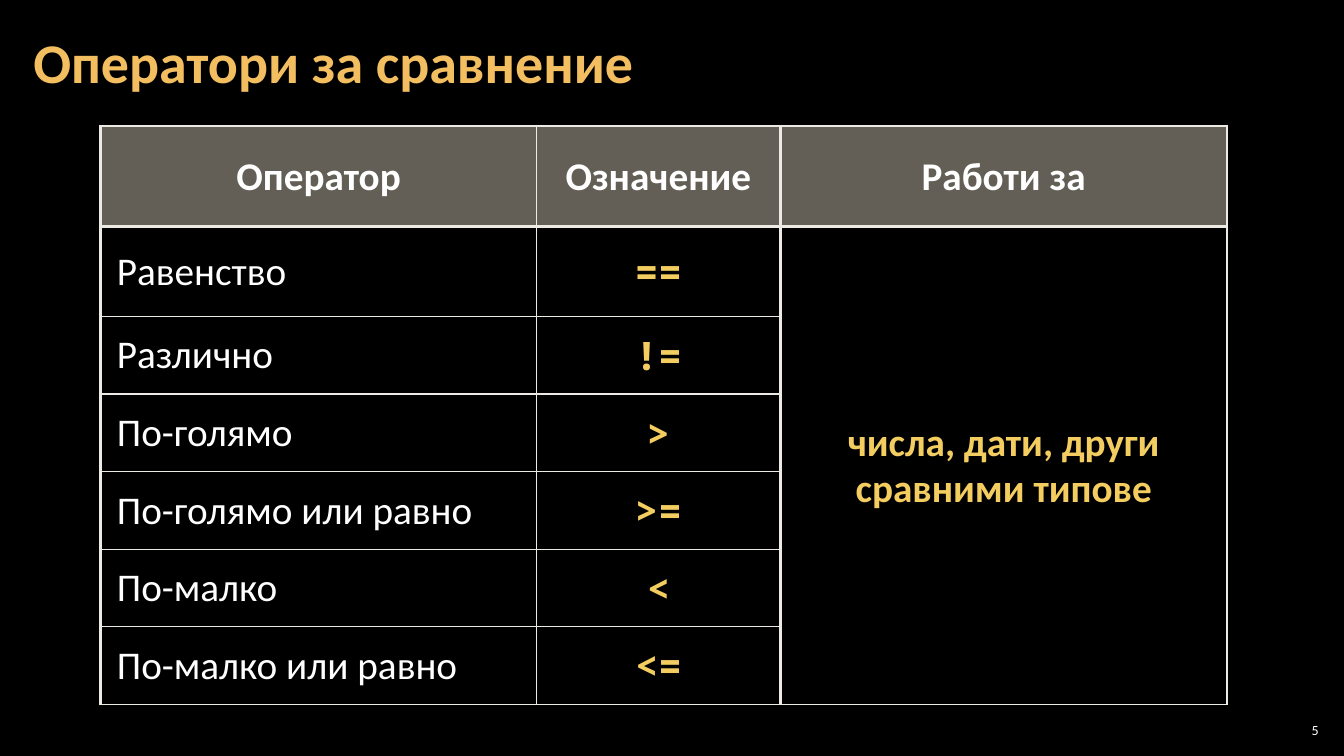
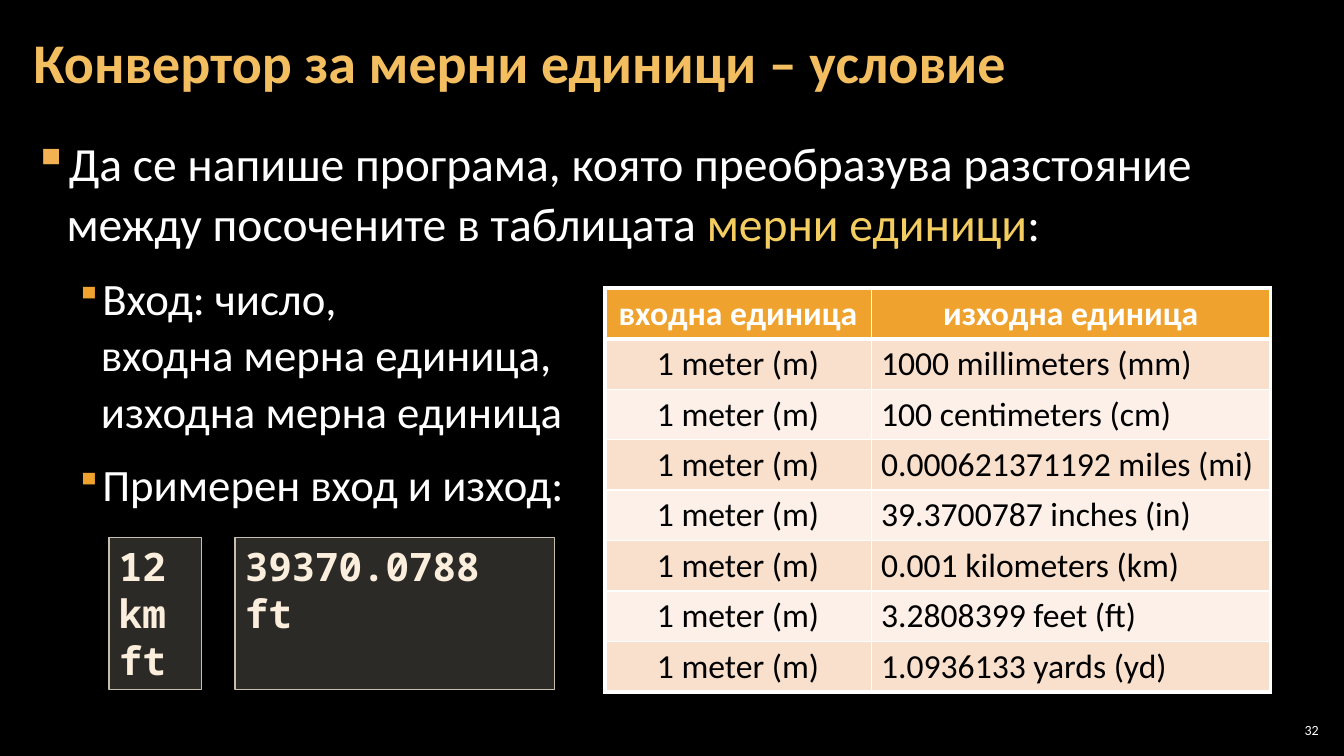
"""Build two programming-course slides: comparison operators and a unit converter."""
from dataclasses import dataclass
from typing import Optional

from lxml.etree import SubElement
from pptx import Presentation
from pptx.dml.color import RGBColor
from pptx.enum.shapes import MSO_SHAPE
from pptx.enum.text import MSO_ANCHOR, MSO_AUTO_SIZE, PP_ALIGN
from pptx.oxml import parse_xml
from pptx.oxml.ns import nsdecls, qn
from pptx.util import Inches, Pt

COLORS = {
    "background": "000000",
    "title": "F3BE60",
    "text": "FFFFFF",
    "dark_text": "000000",
    "highlight": "F3CD60",
    "bullet": "F2B254",
    "sub_bullet": "F0A22E",
    "grid": "ECEAE3",
    "stone": "C7BFAC",
    "orange": "F0A22E",
    "band": "F9E0CD",
    "band_light": "FCF0E8",
    "code": "FBEEDC",
    "code_fill": "D9D5C7",
}
SANS, MONO = "Calibri", "Noto Sans Mono"


@dataclass(frozen=True)
class TextStyle:
    size: float
    color: str = "text"
    bold: bool = False
    font: str = SANS
    align: PP_ALIGN = PP_ALIGN.LEFT


@dataclass(frozen=True)
class Grid:
    left: float
    top: float
    widths: list[float]
    heights: list[float]
    column_lines: list[float]
    row_lines: list[float]
    line_color: str
    header: TextStyle
    columns: list[TextStyle]
    header_fill: str
    bands: tuple[str, ...] = ()
    header_alpha: int = 100
    margins: tuple[float, float] = (0.1, 0.05)
    spacing: float = 1.0
    merged_column: Optional[int] = None


@dataclass(frozen=True)
class Bullet:
    level: int
    runs: list[tuple[str, str]]


@dataclass(frozen=True)
class BulletLevel:
    size: int
    margin: float
    hanging: float
    color: str
    percent: int


@dataclass(frozen=True)
class CodeBox:
    left: float
    width: float
    lines: list[str]


BULLET_LEVELS = [
    BulletLevel(34, 0.33, 0.33, "bullet", 100),
    BulletLevel(32, 0.67, 0.25, "sub_bullet", 80),
]
CODE = TextStyle(28, "code", True, MONO)

OPERATOR_HEADER = TextStyle(28, bold=True, align=PP_ALIGN.CENTER)
OPERATOR_GRID = Grid(
    1, 1.25, [4.32, 2.42, 4.43], [1, 0.89] + [0.77] * 5,
    [2.25, 1, 2.25, 2.25], [2.25, 2.25] + [1] * 6, "grid",
    OPERATOR_HEADER,
    [
        TextStyle(28),
        TextStyle(28, "highlight", True, MONO, PP_ALIGN.CENTER),
        TextStyle(28, "highlight", True, SANS, PP_ALIGN.CENTER),
    ],
    "stone", header_alpha=50, margins=(0.16, 0), spacing=0.95, merged_column=2,
)
OPERATORS = [
    ("Оператор", "Означение", "Работи за"),
    ("Равенство", "==", "числа, дати, други сравними типове"),
    ("Различно", "!="),
    ("По-голямо", ">"),
    ("По-голямо или равно", ">="),
    ("По-малко", "<"),
    ("По-малко или равно", "<="),
]

UNIT_GRID = Grid(
    6, 2.86, [2.64, 3.96], [0.5] * 8,
    [3, 1, 3], [3, 3] + [1] * 6 + [3], "text",
    TextStyle(24, bold=True, align=PP_ALIGN.CENTER),
    [TextStyle(24, "dark_text", align=PP_ALIGN.CENTER), TextStyle(24, "dark_text")],
    "orange", ("band", "band_light"),
)
CONVERSIONS = [
    "1000 millimeters (mm)",
    "100 centimeters (cm)",
    "0.000621371192 miles (mi)",
    "39.3700787 inches (in)",
    "0.001 kilometers (km)",
    "3.2808399 feet (ft)",
    "1.0936133 yards (yd)",
]
UNITS = [("входна единица", "изходна единица")] + [("1 meter (m)", unit) for unit in CONVERSIONS]

TASK = [
    Bullet(0, [
        ("Да се напише програма, която преобразува разстояние между посочените в таблицата ", "text"),
        ("мерни единици", "highlight"),
        (":", "text"),
    ]),
    Bullet(1, [("Вход: число,\nвходна мерна единица,\nизходна мерна единица", "text")]),
    Bullet(1, [("Примерен вход и изход:", "text")]),
]
SAMPLES = [CodeBox(1.08, 0.92, ["12", "km", "ft"]), CodeBox(2.33, 3.17, ["39370.0788 ft"])]


def rgb(name: str) -> RGBColor:
    return RGBColor.from_string(COLORS[name])


def add_text(paragraph, text: str, style: TextStyle) -> None:
    paragraph.alignment = style.align
    for index, line in enumerate(text.split("\n")):
        if index:
            paragraph.add_line_break()
        run = paragraph.add_run()
        run.text = line
        run.font.name = style.font
        run.font.size = Pt(style.size)
        run.font.bold = style.bold
        run.font.color.rgb = rgb(style.color)


def set_margins(frame, horizontal: float, vertical: float) -> None:
    frame.margin_left = frame.margin_right = Inches(horizontal)
    frame.margin_top = frame.margin_bottom = Inches(vertical)


def paint(fill, properties, color: str, alpha: int = 100) -> None:
    fill.solid()
    fill.fore_color.rgb = rgb(color)
    if alpha < 100:
        tint = properties.find(qn("a:solidFill")).find(qn("a:srgbClr"))
        SubElement(tint, qn("a:alpha"), val=str(alpha * 1000))


def add_borders(properties, color: str, widths: dict[str, float]) -> None:
    for index, (side, width) in enumerate(widths.items()):
        properties.insert(index, parse_xml(
            f'<a:ln{side} {nsdecls("a")} w="{int(Pt(width))}"><a:solidFill>'
            f'<a:srgbClr val="{COLORS[color]}"/></a:solidFill></a:ln{side}>'
        ))


def add_grid(slide, grid: Grid, rows: list[tuple[str, ...]]) -> None:
    table = slide.shapes.add_table(
        len(grid.heights), len(grid.widths), Inches(grid.left), Inches(grid.top),
        Inches(sum(grid.widths)), Inches(sum(grid.heights)),
    ).table
    table.horz_banding = False
    for column, width in zip(table.columns, grid.widths):
        column.width = Inches(width)
    for row, height in zip(table.rows, grid.heights):
        row.height = Inches(height)
    if grid.merged_column is not None:
        last = table.cell(len(grid.heights) - 1, grid.merged_column)
        table.cell(1, grid.merged_column).merge(last)

    for r, texts in enumerate(rows):
        for c, text in enumerate(texts):
            cell = table.cell(r, c)
            set_margins(cell, *grid.margins)
            cell.vertical_anchor = MSO_ANCHOR.MIDDLE if grid.spacing < 1 else MSO_ANCHOR.TOP
            paragraph = cell.text_frame.paragraphs[0]
            paragraph.line_spacing = grid.spacing
            add_text(paragraph, text, grid.columns[c] if r else grid.header)
            properties = cell._tc.get_or_add_tcPr()
            if r == 0:
                paint(cell.fill, properties, grid.header_fill, grid.header_alpha)
            elif grid.bands:
                paint(cell.fill, properties, grid.bands[(r - 1) % len(grid.bands)])
            else:
                cell.fill.background()
            add_borders(properties, grid.line_color, {
                "L": grid.column_lines[c], "R": grid.column_lines[c + 1],
                "T": grid.row_lines[r], "B": grid.row_lines[r + 1],
            })


def add_bullets(slide, bullets: list[Bullet]) -> None:
    frame = slide.shapes.add_textbox(Inches(0.21), Inches(1.26), Inches(12.91), Inches(6.09)).text_frame
    frame.word_wrap = True
    set_margins(frame, 0.12, 0.04)
    for index, bullet in enumerate(bullets):
        paragraph = frame.add_paragraph() if index else frame.paragraphs[0]
        level = BULLET_LEVELS[bullet.level]
        paragraph.level = bullet.level
        paragraph.line_spacing = 1.05
        paragraph.space_before = paragraph.space_after = Pt(6)
        properties = paragraph._p.get_or_add_pPr()
        properties.set("marL", str(Inches(level.margin)))
        properties.set("indent", str(-Inches(level.hanging)))
        marker_color = SubElement(properties, qn("a:buClr"))
        SubElement(marker_color, qn("a:srgbClr"), val=COLORS[level.color])
        SubElement(properties, qn("a:buSzPct"), val=str(level.percent * 1000))
        SubElement(properties, qn("a:buChar"), char="▪")
        for text, color in bullet.runs:
            add_text(paragraph, text, TextStyle(level.size, color))


def add_code_box(slide, sample: CodeBox) -> None:
    box = slide.shapes.add_shape(
        MSO_SHAPE.RECTANGLE, Inches(sample.left), Inches(5.33), Inches(sample.width), Inches(1.51)
    )
    box.shadow.inherit = False
    paint(box.fill, box._element.spPr, "code_fill", 20)
    box.line.color.rgb = rgb("stone")
    box.line.width = Pt(1)
    frame = box.text_frame
    frame.word_wrap = True
    frame.vertical_anchor = MSO_ANCHOR.TOP
    for index, line in enumerate(sample.lines):
        add_text(frame.add_paragraph() if index else frame.paragraphs[0], line, CODE)


def add_titled_slide(deck, heading: str, number: int):
    slide = deck.slides.add_slide(deck.slide_layouts[5])
    title = slide.shapes.title
    title.left, title.top = Inches(0.21), Inches(0.04)
    title.width, title.height = Inches(10.47), Inches(1.21)
    frame = title.text_frame
    frame.auto_size = MSO_AUTO_SIZE.NONE
    frame.vertical_anchor = MSO_ANCHOR.MIDDLE
    set_margins(frame, 0.12, 0.04)
    frame.paragraphs[0].line_spacing = 0.9
    add_text(frame.paragraphs[0], heading, TextStyle(40, "title", True))

    footer = slide.shapes.add_textbox(Inches(12.65), Inches(7.14), Inches(0.47), Inches(0.21)).text_frame
    footer.word_wrap = True
    footer.vertical_anchor = MSO_ANCHOR.MIDDLE
    set_margins(footer, 0.04, 0.04)
    add_text(footer.paragraphs[0], str(number), TextStyle(10, align=PP_ALIGN.RIGHT))
    return slide


def main() -> None:
    deck = Presentation()
    deck.slide_width, deck.slide_height = Inches(13.33), Inches(7.5)
    backdrop = deck.slide_master.background.fill
    backdrop.solid()
    backdrop.fore_color.rgb = rgb("background")

    operators = add_titled_slide(deck, "Оператори за сравнение", 5)
    add_grid(operators, OPERATOR_GRID, OPERATORS)

    converter = add_titled_slide(deck, "Конвертор за мерни единици – условие", 32)
    add_bullets(converter, TASK)
    add_grid(converter, UNIT_GRID, UNITS)
    for sample in SAMPLES:
        add_code_box(converter, sample)

    deck.save("out.pptx")


if __name__ == "__main__":
    main()
